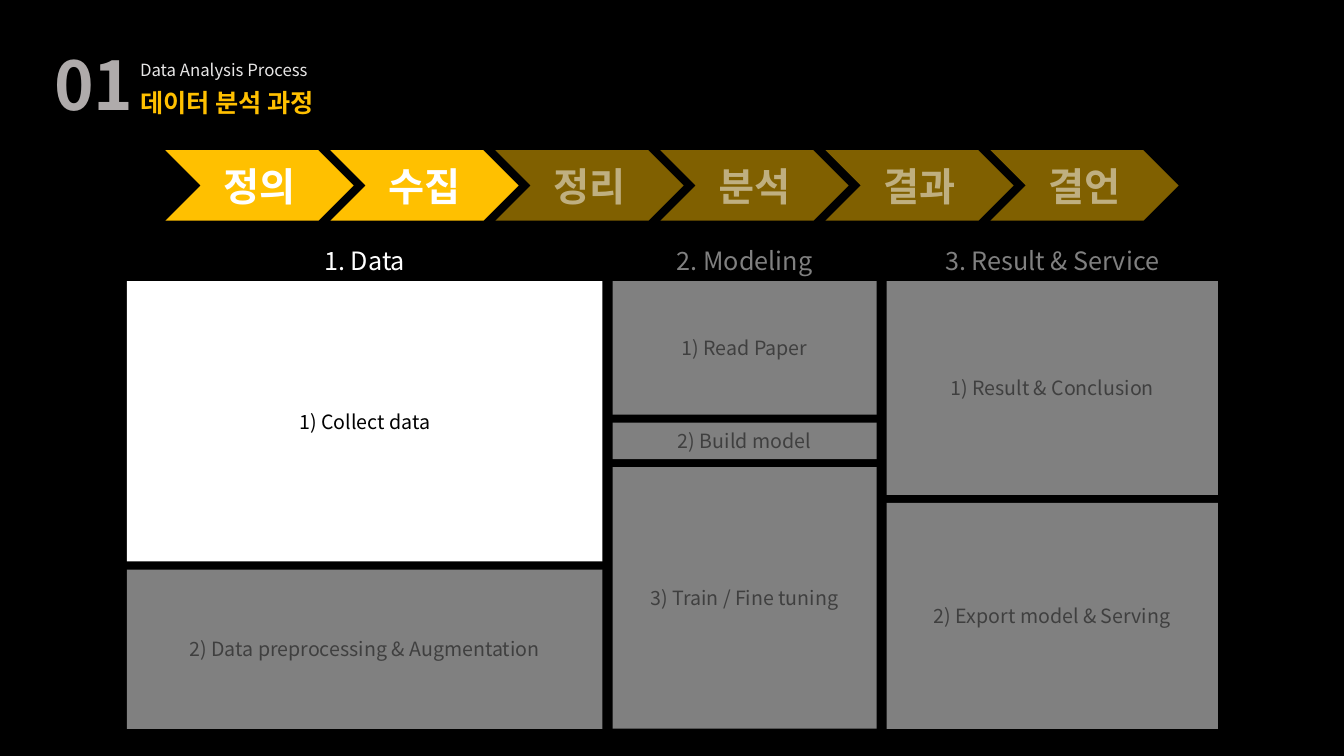
from dataclasses import dataclass

from lxml.etree import SubElement
from pptx import Presentation
from pptx.dml.color import RGBColor
from pptx.enum.shapes import MSO_SHAPE
from pptx.enum.text import MSO_ANCHOR, PP_ALIGN
from pptx.oxml.ns import qn
from pptx.util import Inches, Pt


@dataclass(frozen=True)
class Theme:
    font: str = "Noto Sans CJK KR"
    background: str = "000000"
    accent: str = "FFC000"
    light: str = "FFFFFF"
    dark: str = "000000"
    subtitle: str = "E7E6E6"
    number: str = "AFABAB"
    dimmed_opacity: int = 50
    number_size: int = 48
    step_size: int = 28
    heading_size: int = 18
    box_size: int = 14
    subtitle_size: int = 12


THEME = Theme()
SLIDE_SIZE = (13.33, 7.5)

STEPS = ["정의", "수집", "정리", "분석", "결과", "결언"]
ACTIVE_STEPS = 2
STEP_LEFT, STEP_TOP, STEP_SPAN, STEP_HEIGHT = 1.64, 1.49, 10.05, 0.7
STEP_OVERLAP = 0.23

GRID_LEFT, GRID_TOP, GRID_WIDTH, GRID_HEIGHT = 1.26, 2.79, 10.82, 4.44
COLUMN_GAP, ROW_GAP = 0.1, 0.08
HEADING_TOP, HEADING_HEIGHT = 2.38, 0.4

# Each phase: heading, column weight, and boxes as (label, row weight).
PHASES = [
    ("1. Data", 4.72,
     [("1) Collect data", 2.78),
      ("2) Data preprocessing & Augmentation", 1.58)]),
    ("2. Modeling", 2.62,
     [("1) Read Paper", 1.32),
      ("2) Build model", 0.36),
      ("3) Train / Fine tuning", 2.59)]),
    ("3. Result & Service", 3.29,
     [("1) Result & Conclusion", 2.12),
      ("2) Export model & Serving", 2.24)]),
]
ACTIVE_HEADING = "1. Data"
ACTIVE_BOX = "1) Collect data"


def split(start, length, weights, gap):
    """Divide a length by weights; return (start, size) pairs."""
    unit = (length - gap * (len(weights) - 1)) / sum(weights)
    tracks = []
    for weight in weights:
        tracks.append((start, weight * unit))
        start += weight * unit + gap
    return tracks


def paint(fill, color, dimmed=False):
    fill.solid()
    fill.fore_color.rgb = RGBColor.from_string(color)
    if dimmed:
        color_element = fill._xPr.find(qn("a:solidFill"))[0]
        alpha = SubElement(color_element, qn("a:alpha"))
        alpha.set("val", str(THEME.dimmed_opacity * 1000))


def write(shape, text, size, color, bold=False, dimmed=False,
          align=PP_ALIGN.CENTER):
    shape.text_frame.text = text
    paragraph = shape.text_frame.paragraphs[0]
    paragraph.alignment = align
    font = paragraph.runs[0].font
    font.size, font.bold, font.name = Pt(size), bold, THEME.font
    paint(font.fill, color, dimmed)
    east_asian = SubElement(font._element, qn("a:ea"))
    east_asian.set("typeface", THEME.font)


def add_panel(shapes, kind, area, text, fill, size, color, bold=False,
              dimmed=False):
    panel = shapes.add_shape(kind, *map(Inches, area))
    panel.shadow.inherit = False
    panel.line.fill.background()
    paint(panel.fill, fill, dimmed)
    panel.text_frame.vertical_anchor = MSO_ANCHOR.MIDDLE
    write(panel, text, size, color, bold, dimmed)
    return panel


def add_label(shapes, area, text, size, color, wrap=True, **style):
    label = shapes.add_textbox(*map(Inches, area))
    label.text_frame.word_wrap = wrap
    write(label, text, size, color, **style)


def add_steps(slide):
    group = slide.shapes.add_group_shape()
    tracks = split(STEP_LEFT, STEP_SPAN, [1] * len(STEPS), -STEP_OVERLAP)
    for index, (step, (left, width)) in enumerate(zip(STEPS, tracks)):
        add_panel(group.shapes, MSO_SHAPE.CHEVRON,
                  (left, STEP_TOP, width, STEP_HEIGHT), step,
                  THEME.accent, THEME.step_size, THEME.light, bold=True,
                  dimmed=index >= ACTIVE_STEPS)


def add_phases(slide):
    columns = split(GRID_LEFT, GRID_WIDTH,
                    [weight for _, weight, _ in PHASES], COLUMN_GAP)
    for (heading, _, boxes), (left, width) in zip(PHASES, columns):
        add_label(slide.shapes, (left, HEADING_TOP, width, HEADING_HEIGHT),
                  heading, THEME.heading_size, THEME.light, wrap=False,
                  dimmed=heading != ACTIVE_HEADING)
        rows = split(GRID_TOP, GRID_HEIGHT,
                     [weight for _, weight in boxes], ROW_GAP)
        for (label, _), (top, height) in zip(boxes, rows):
            box = add_panel(slide.shapes, MSO_SHAPE.ROUNDED_RECTANGLE,
                            (left, top, width, height), label, THEME.light,
                            THEME.box_size, THEME.dark,
                            dimmed=label != ACTIVE_BOX)
            box.adjustments[0] = 0


def add_title(slide):
    shapes = slide.shapes.add_group_shape().shapes
    add_label(shapes, (1.29, 0.54, 2.41, 0.3), "Data Analysis Process",
              THEME.subtitle_size, THEME.subtitle, align=PP_ALIGN.LEFT)
    add_label(shapes, (1.29, 0.82, 2.41, 0.4), "데이터 분석 과정",
              THEME.heading_size, THEME.accent, bold=True,
              align=PP_ALIGN.LEFT)
    add_label(shapes, (0.37, 0.38, 1.12, 0.91), "01",
              THEME.number_size, THEME.number, bold=True)


def main():
    presentation = Presentation()
    presentation.slide_width, presentation.slide_height = map(
        Inches, SLIDE_SIZE)
    slide = presentation.slides.add_slide(presentation.slide_layouts[6])
    paint(slide.background.fill, THEME.background)
    add_steps(slide)
    add_phases(slide)
    add_title(slide)
    presentation.save("out.pptx")


if __name__ == "__main__":
    main()
